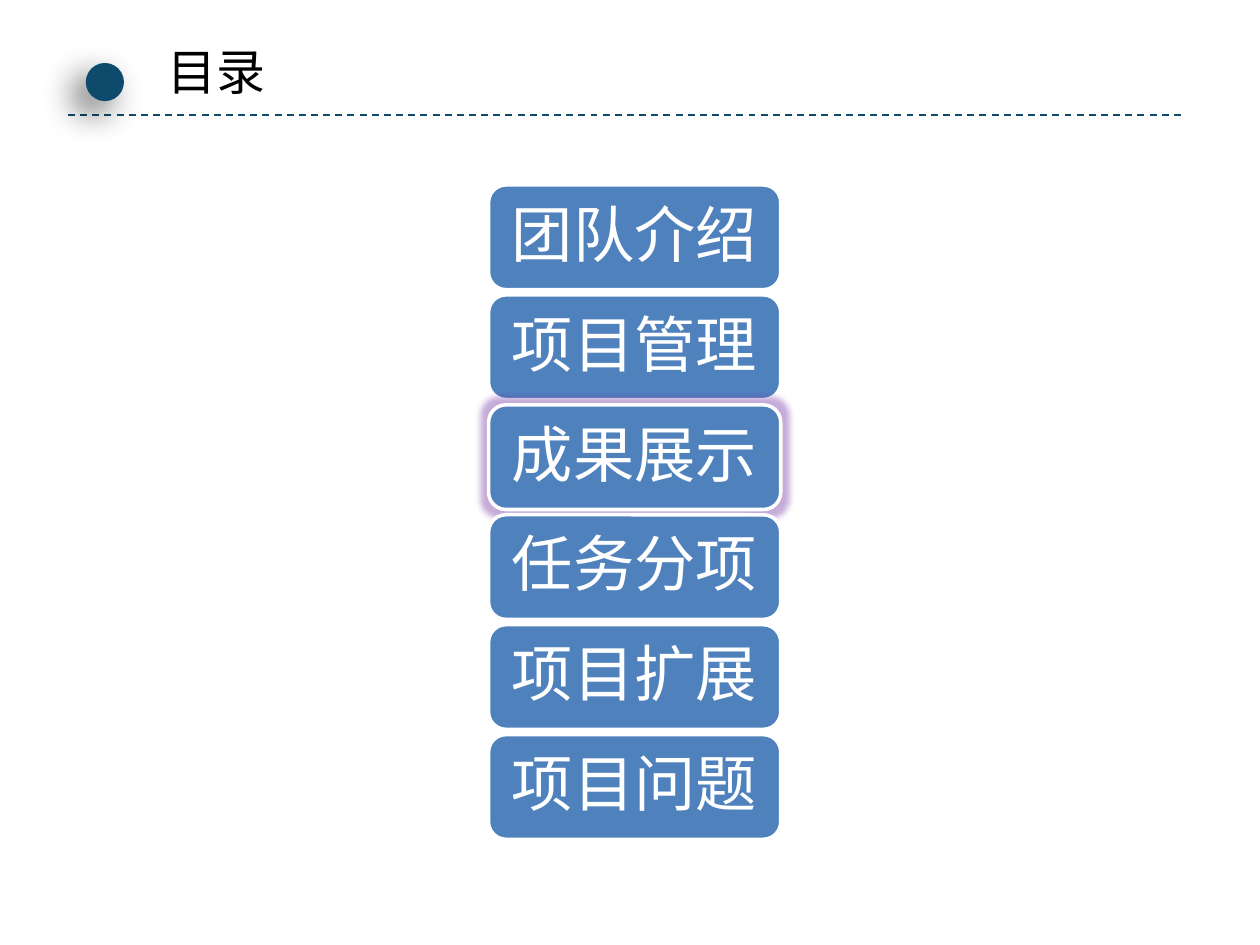
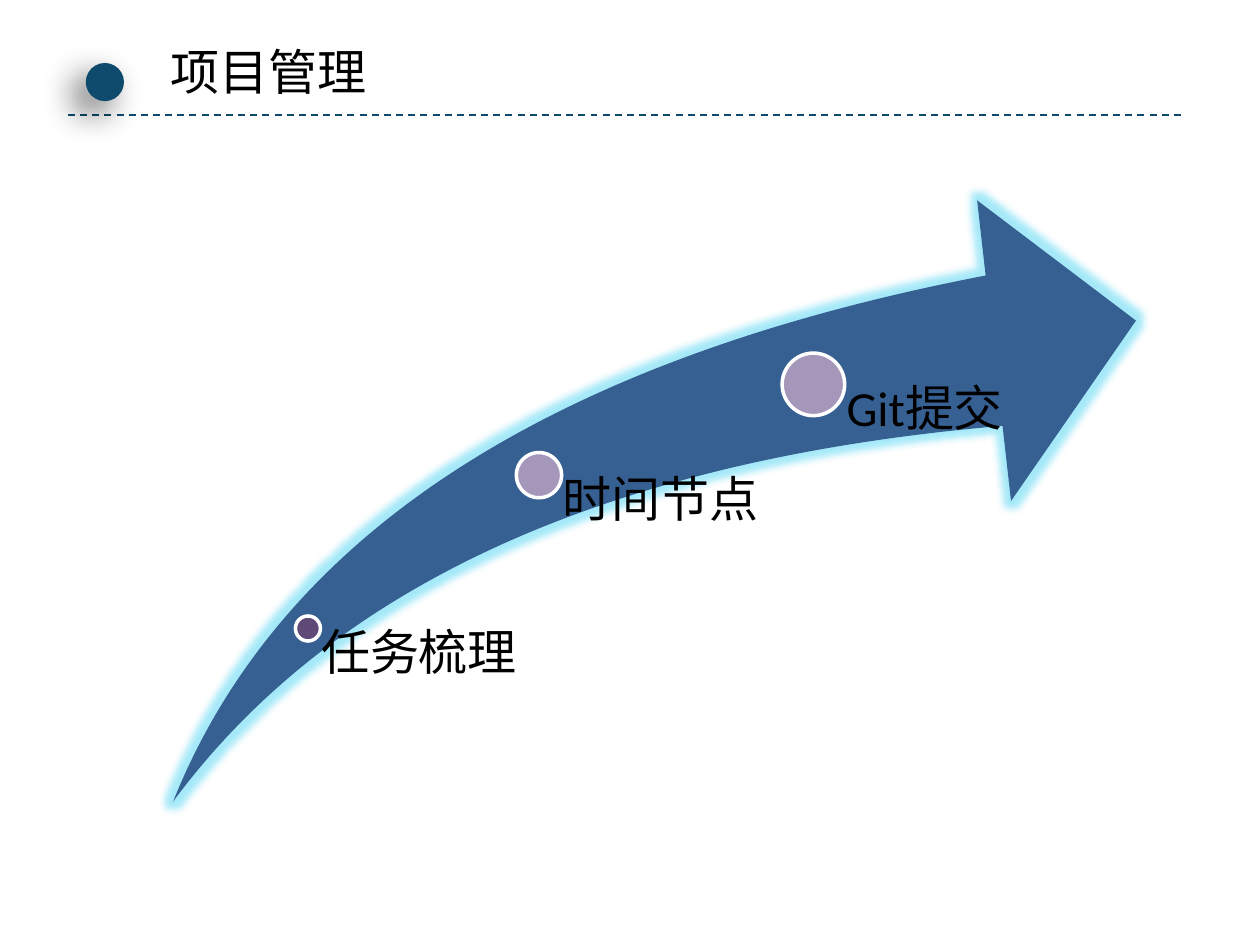
from lxml.etree import SubElement
from pptx import Presentation
from pptx.dml.color import RGBColor as RGB
from pptx.enum.dml import MSO_LINE
from pptx.enum.shapes import MSO_CONNECTOR, MSO_SHAPE
from pptx.enum.text import MSO_ANCHOR, MSO_AUTO_SIZE, PP_ALIGN
from pptx.oxml.ns import qn
from pptx.util import Cm, Pt

COLORS = {
    "navy": "0E4A6C", "black": "000000", "white": "FFFFFF",
    "button": "4F81BD", "arrow": "376092",
    "dot_dark": "5F4A78", "dot_light": "A597B9",
    "glow_purple": "7030A0", "glow_cyan": "1EC8F0",
}
LATIN, CJK = "Calibri", "Noto Sans CJK SC"

HEADER_BOX = (1.37, 0.72, 22.53, 1.6)
MENU_BOX = (9.85, 3.73, 5.89, 13.19)
ARROW_BOX = (3.49, 4.04, 19.41, 12.12)

MENU = ["团队介绍", "项目管理", "成果展示", "任务分项", "项目扩展", "项目问题"]
CURRENT = "成果展示"
MILESTONES = [
    ("任务梳理", 0.14, 0.712, 0.026, "dot_dark"),
    ("时间节点", 0.38, 0.457, 0.047, "dot_light"),
    ("Git提交", 0.665, 0.306, 0.065, "dot_light"),
]


def rgb(name):
    return RGB.from_string(COLORS[name])


def add_effect(sp, tag, color, alpha, **attrs):
    effects = sp._element.spPr.find(qn("a:effectLst"))
    effect = SubElement(effects, qn(tag), {k: str(v) for k, v in attrs.items()})
    clr = SubElement(effect, qn("a:srgbClr"), val=COLORS[color])
    SubElement(clr, qn("a:alpha"), val=str(alpha * 1000))


def add_glow(sp, color, radius):
    add_effect(sp, "a:glow", color, 40, rad=Pt(radius))


def add_shape(slide, kind, box, fill, outlined=False):
    sp = slide.shapes.add_shape(kind, *map(Cm, box))
    sp.shadow.inherit = False
    sp.fill.solid()
    sp.fill.fore_color.rgb = rgb(fill)
    if outlined:
        sp.line.color.rgb = rgb("white")
        sp.line.width = Pt(2)
    else:
        sp.line.fill.background()
    return sp


def set_text(sp, text, size, color, latin=LATIN, spacing=None, insets=None):
    tf = sp.text_frame
    tf.text = text
    if insets:
        (tf.margin_left, tf.margin_top,
         tf.margin_right, tf.margin_bottom) = map(Cm, insets)
    p = tf.paragraphs[0]
    p.line_spacing = spacing
    font = p.runs[0].font
    font.size = Pt(size)
    font.name = latin
    font.color.rgb = rgb(color)
    SubElement(font._element, qn("a:ea"), typeface=CJK)
    return tf


def add_header(slide, box, title, indent, title_width):
    x, y, w, h = box
    tb = slide.shapes.add_textbox(Cm(x + indent), Cm(y), Cm(title_width), Cm(1.45))
    tf = set_text(tb, title, 28, "black", CJK)
    tf.word_wrap = False
    tf.auto_size = MSO_AUTO_SIZE.SHAPE_TO_FIT_TEXT

    line = slide.shapes.add_connector(
        MSO_CONNECTOR.STRAIGHT, Cm(x), Cm(y + h), Cm(x + w), Cm(y + h))
    line.line.color.rgb = rgb("navy")
    line.line.width = Pt(1)
    line.line.dash_style = MSO_LINE.DASH
    SubElement(line._element.spPr, qn("a:effectLst"))

    dot = add_shape(slide, MSO_SHAPE.OVAL, (x + 0.36, y + 0.55, 0.77, 0.77), "navy")
    add_effect(dot, "a:outerShdw", "black", 60,
               blurRad=Pt(20), dist=Pt(10), dir=135 * 60000, algn="tr", rotWithShape=0)


def add_menu(slide, box, items, current):
    x, y, w, h = box
    button_h = 2.11
    pitch = (h - button_h) / (len(items) - 1)
    for i, item in enumerate(items):
        sp = add_shape(slide, MSO_SHAPE.ROUNDED_RECTANGLE,
                       (x, y + i * pitch, w, button_h), "button", outlined=True)
        if item == current:
            add_glow(sp, "glow_purple", 7)
        tf = set_text(sp, item, 35, "white", spacing=0.9, insets=(0.2, 0.18, 0.2, 0.18))
        tf.word_wrap = True
        tf.vertical_anchor = MSO_ANCHOR.MIDDLE
        tf.paragraphs[0].alignment = PP_ALIGN.CENTER


def add_milestone_arrow(slide, box, milestones):
    x, y, w, h = box
    arrow = add_shape(slide, MSO_SHAPE.SWOOSH_ARROW, box, "arrow")
    arrow.adjustments[0] = arrow.adjustments[1] = 0.25
    add_glow(arrow, "glow_cyan", 8)
    for label, fx, fy, fd, color in milestones:
        cx, cy, d = x + fx * w, y + fy * h, fd * w
        add_shape(slide, MSO_SHAPE.OVAL, (cx - d / 2, cy - d / 2, d, d),
                  color, outlined=True)
        tb = slide.shapes.add_textbox(Cm(cx), Cm(cy), Cm(0.24 * w), Cm(y + h - cy))
        tf = set_text(tb, label, 28, "black", spacing=0.9, insets=(0.53 * d, 0, 0, 0))
        tf.word_wrap = True


def main():
    prs = Presentation()
    prs.slide_width, prs.slide_height = Cm(25.4), Cm(19.05)
    blank = prs.slide_layouts[6]

    contents = prs.slides.add_slide(blank)
    add_header(contents, HEADER_BOX, "目录", 1.75, 2.77)
    add_menu(contents, MENU_BOX, MENU, CURRENT)

    management = prs.slides.add_slide(blank)
    add_header(management, HEADER_BOX, "项目管理", 1.82, 4.5)
    add_milestone_arrow(management, ARROW_BOX, MILESTONES)

    prs.save("out.pptx")


if __name__ == "__main__":
    main()
